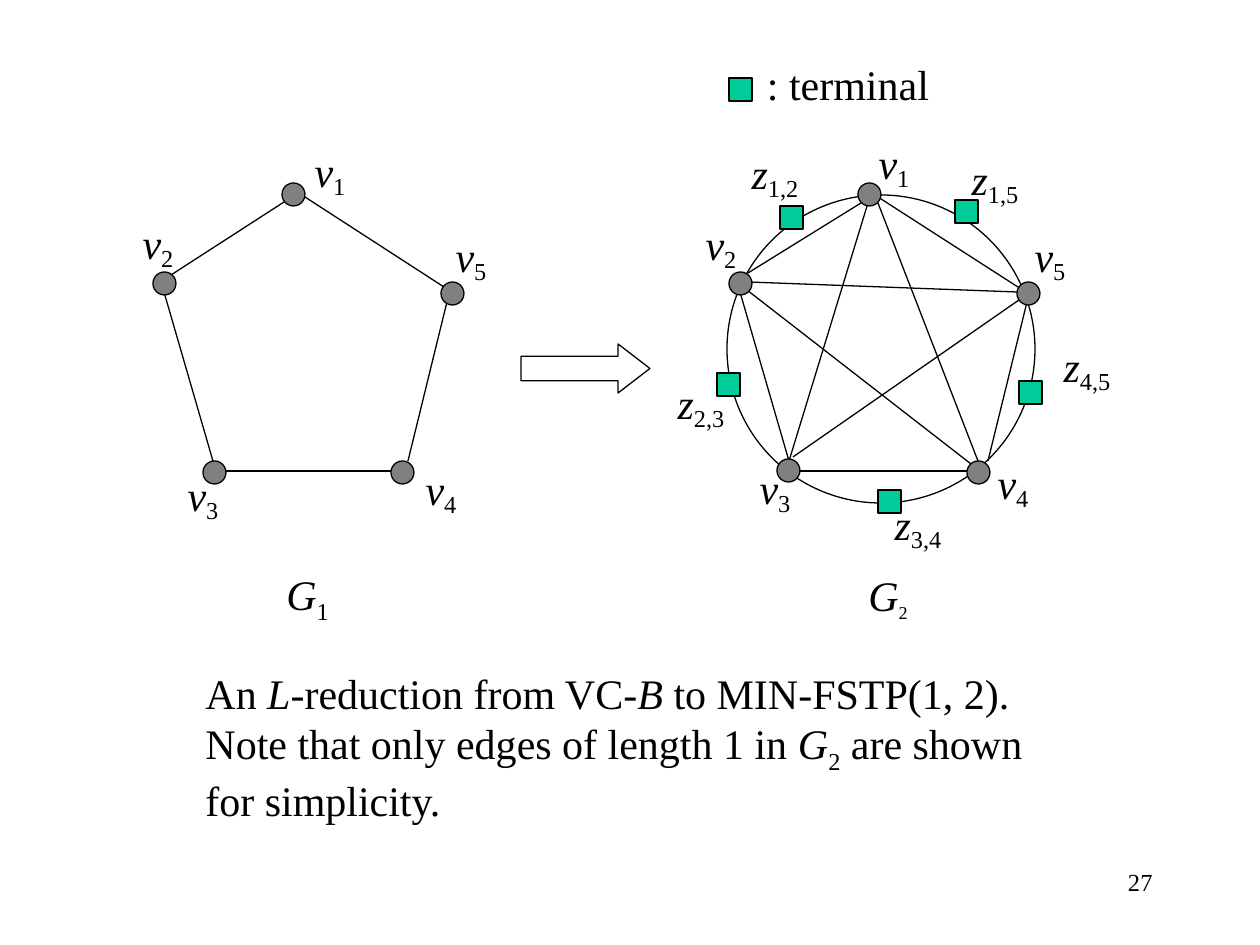
from dataclasses import dataclass

from lxml.etree import SubElement
from pptx import Presentation
from pptx.dml.color import RGBColor
from pptx.enum.shapes import MSO_CONNECTOR, MSO_SHAPE
from pptx.enum.text import MSO_AUTO_SIZE, PP_ALIGN
from pptx.oxml.ns import qn
from pptx.shapes.autoshape import Shape
from pptx.slide import Slide
from pptx.util import Emu, Pt

PX_PER_INCH = 126
EMU_PER_PX = 914400 / PX_PER_INCH
COLOURS = {"ink": "000000", "vertex": "808080", "terminal": "00CC99"}
FONT = "Times New Roman"
MARK_SIZE = 23
LABEL_WIDTH, LABEL_HEIGHT = 100, 68


@dataclass(frozen=True)
class Box:
    left: int
    top: int
    width: int
    height: int


@dataclass(frozen=True)
class Span:
    text: str
    italic: bool = False
    baseline: int = 0
    size: int = 24


@dataclass(frozen=True)
class Label:
    letter: str
    index: str
    left: int
    top: int


@dataclass(frozen=True)
class Edge:
    x1: int
    y1: int
    x2: int
    y2: int


@dataclass(frozen=True)
class Mark:
    left: int
    top: int


EDGES = [
    Edge(284, 202, 171, 275),
    Edge(164, 292, 213, 461),
    Edge(223, 471, 392, 471),
    Edge(408, 461, 447, 302),
    Edge(305, 197, 444, 287),
    Edge(861, 203, 748, 273),
    Edge(740, 292, 789, 461),
    Edge(799, 471, 968, 471),
    Edge(988, 461, 1027, 302),
    Edge(878, 197, 1021, 289),
    Edge(868, 203, 789, 461),
    Edge(878, 203, 978, 461),
    Edge(748, 282, 1017, 292),
    Edge(747, 290, 971, 464),
    Edge(1019, 300, 793, 457),
]
VERTICES = [
    Mark(282, 183), Mark(153, 272), Mark(441, 282), Mark(203, 461), Mark(391, 461),
    Mark(858, 183), Mark(729, 272), Mark(1017, 282), Mark(777, 459), Mark(967, 461),
]
TERMINALS = [
    Mark(955, 200), Mark(1019, 381), Mark(717, 373),
    Mark(878, 490), Mark(780, 206), Mark(729, 78),
]
LABELS = [
    Label("v", "1", 280, 139),
    Label("v", "2", 108, 211),
    Label("v", "5", 421, 224),
    Label("v", "3", 153, 463),
    Label("v", "4", 391, 457),
    Label("v", "1", 844, 131),
    Label("v", "2", 671, 212),
    Label("v", "5", 1000, 224),
    Label("v", "3", 725, 456),
    Label("v", "4", 963, 451),
    Label("z", "1,5", 945, 147),
    Label("z", "1,2", 725, 141),
    Label("z", "4,5", 1037, 334),
    Label("z", "3,4", 868, 492),
    Label("z", "2,3", 651, 371),
]
CAPTION = [
    Span("An "),
    Span("L", italic=True),
    Span("-reduction from VC-"),
    Span("B", italic=True),
    Span(" to MIN-FSTP(1, 2). Note that only edges of length 1 in "),
    Span("G", italic=True),
    Span("2", baseline=-25),
    Span(" are shown for simplicity."),
]


def px(length: int) -> Emu:
    return Emu(round(length * EMU_PER_PX))


def colour(name: str) -> RGBColor:
    return RGBColor.from_string(COLOURS[name])


def draw_shape(page: Slide, kind: MSO_SHAPE, box: Box, fill: str | None = None) -> Shape:
    shape = page.shapes.add_shape(kind, px(box.left), px(box.top), px(box.width), px(box.height))
    shape.shadow.inherit = False
    if fill:
        shape.fill.solid()
        shape.fill.fore_color.rgb = colour(fill)
    else:
        shape.fill.background()
    shape.line.color.rgb = colour("ink")
    shape.line.width = Pt(0.75)
    return shape


def draw_mark(page: Slide, kind: MSO_SHAPE, mark: Mark, fill: str) -> None:
    draw_shape(page, kind, Box(mark.left, mark.top, MARK_SIZE, MARK_SIZE), fill)


def draw_edge(page: Slide, edge: Edge) -> None:
    line = page.shapes.add_connector(
        MSO_CONNECTOR.STRAIGHT, px(edge.x1), px(edge.y1), px(edge.x2), px(edge.y2)
    )
    line.line.color.rgb = colour("ink")
    line.line.width = Pt(0.75)
    SubElement(line._element.spPr, qn("a:effectLst"))


def draw_text(
    page: Slide,
    box: Box,
    spans: list[Span],
    align: PP_ALIGN = PP_ALIGN.LEFT,
    wrap: bool = True,
    grow: bool = True,
) -> None:
    frame = page.shapes.add_textbox(
        px(box.left), px(box.top), px(box.width), px(box.height)
    ).text_frame
    frame.word_wrap = wrap
    frame.auto_size = MSO_AUTO_SIZE.SHAPE_TO_FIT_TEXT if grow else MSO_AUTO_SIZE.NONE
    para = frame.paragraphs[0]
    para.alignment = align
    for span in spans:
        run = para.add_run()
        run.text = span.text
        run.font.name = FONT
        run.font.size = Pt(span.size)
        run.font.italic = span.italic
        run.font.color.rgb = colour("ink")
        if span.baseline:
            run._r.get_or_add_rPr().set("baseline", str(span.baseline * 1000))


def draw_label(page: Slide, label: Label) -> None:
    box = Box(label.left, label.top, LABEL_WIDTH, LABEL_HEIGHT)
    spans = [Span(label.letter, italic=True), Span(label.index, baseline=-20)]
    draw_text(page, box, spans, PP_ALIGN.CENTER)


def main() -> None:
    deck = Presentation()
    deck.slide_width, deck.slide_height = px(1260), px(945)
    page = deck.slides.add_slide(deck.slide_layouts[6])

    for edge in EDGES:
        draw_edge(page, edge)
    draw_shape(page, MSO_SHAPE.OVAL, Box(727, 195, 308, 308))
    for terminal in TERMINALS:
        draw_mark(page, MSO_SHAPE.RECTANGLE, terminal, "terminal")
    for vertex in VERTICES:
        draw_mark(page, MSO_SHAPE.OVAL, vertex, "vertex")
    arrow = draw_shape(page, MSO_SHAPE.RIGHT_ARROW, Box(521, 344, 129, 49))
    arrow.adjustments[0], arrow.adjustments[1] = 0.5, 0.65

    for label in LABELS:
        draw_label(page, label)
    graph = Span("G", italic=True)
    draw_text(page, Box(274, 562, 70, 71), [graph, Span("1", baseline=-25)], wrap=False)
    draw_text(page, Box(856, 563, 70, 67), [graph, Span("2", baseline=-25, size=18)], wrap=False)
    draw_text(page, Box(193, 661, 873, 171), CAPTION)
    draw_text(page, Box(719, 52, 258, 63), [Span(": terminal")], PP_ALIGN.CENTER)
    draw_text(page, Box(903, 861, 262, 63), [Span("27", size=14)], PP_ALIGN.RIGHT, grow=False)

    deck.save("out.pptx")


if __name__ == "__main__":
    main()
